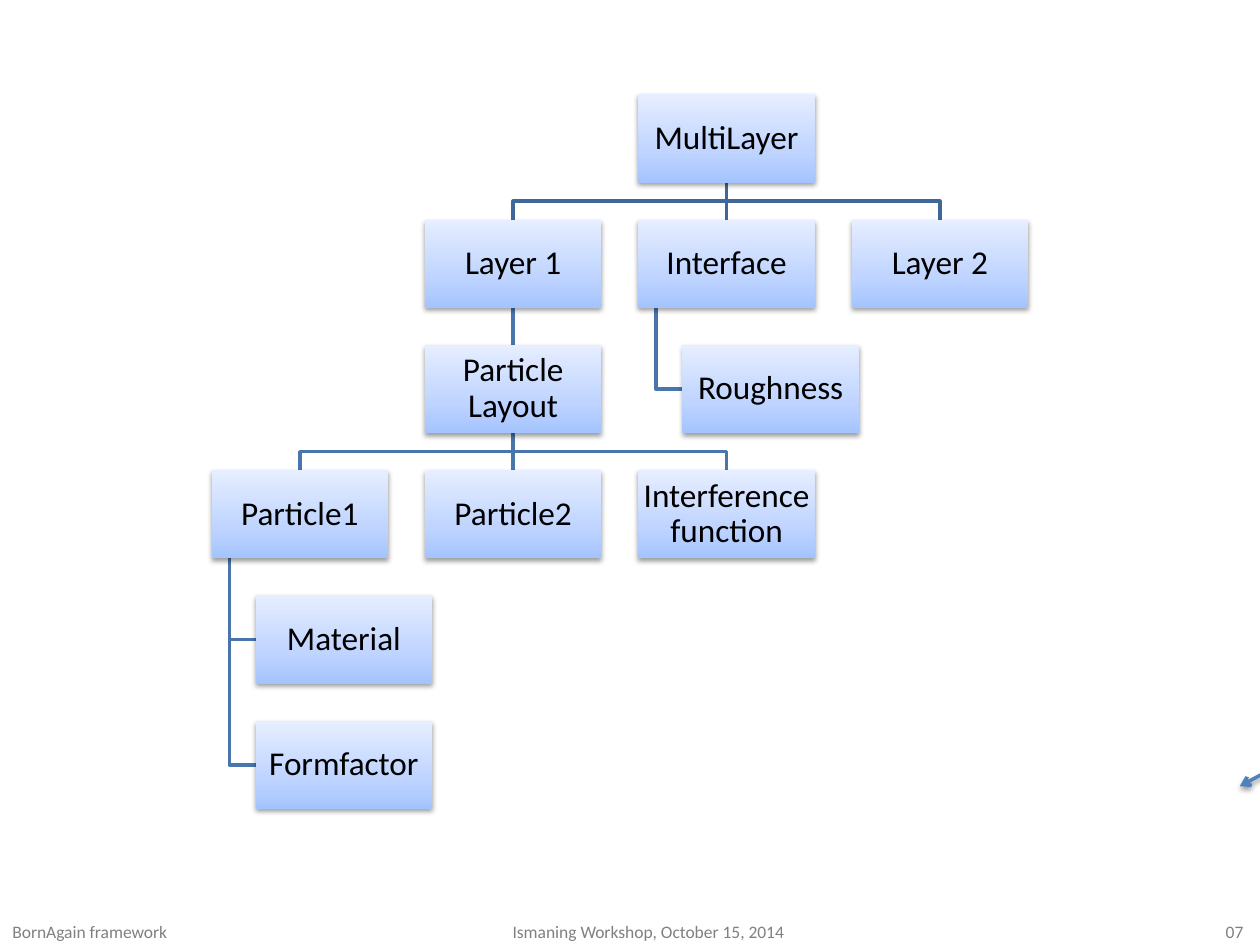
from lxml import etree
from pptx import Presentation
from pptx.dml.color import RGBColor
from pptx.enum import shapes, text
from pptx.oxml import parse_xml
from pptx.oxml.ns import nsdecls, qn
from pptx.util import Inches, Pt

hex_color = RGBColor.from_string


def write(shape, words, size, color, align, anchor, margins, wrap=True, spacing=1.0):
    frame = shape.text_frame
    frame.word_wrap = wrap
    frame.vertical_anchor = anchor
    frame.margin_left = frame.margin_right = Inches(margins[0])
    frame.margin_top = frame.margin_bottom = Inches(margins[1])
    paragraph = frame.paragraphs[0]
    paragraph.alignment = align
    paragraph.line_spacing = spacing
    run = paragraph.add_run()
    run.text = words
    run.font.name = "Calibri"
    run.font.size = Pt(size)
    run.font.color.rgb = hex_color(color)
    return paragraph


def add_path(slide, points, color):
    corners = [(Inches(x), Inches(y)) for x, y in points]
    if len(corners) == 2:
        line = slide.shapes.add_connector(shapes.MSO_CONNECTOR.STRAIGHT, *corners[0], *corners[1])
        etree.SubElement(line._element.spPr, qn("a:effectLst"))
    else:
        builder = slide.shapes.build_freeform(*corners[0])
        builder.add_line_segments(corners[1:], close=False)
        line = builder.convert_to_shape()
        line.fill.background()
        line.shadow.inherit = False
    line.line.color.rgb = hex_color(color)
    line.line.width = Pt(2)
    return line


deck = Presentation()
deck.slide_width, deck.slide_height = Inches(10), Inches(7.5)
slide = deck.slides.add_slide(deck.slide_layouts[6])

box_width, box_height = 1.4, 0.7
first_left, first_top = 1.68, 0.75
column_pitch, row_pitch = 5.08 / 3, 4.97 / 5
indent, stem_inset = 0.35, 0.14

nodes = [
    ("MultiLayer", 2, 0, None, False),
    ("Layer 1", 1, 1, "MultiLayer", False),
    ("Particle Layout", 1, 2, "Layer 1", False),
    ("Particle1", 0, 3, "Particle Layout", False),
    ("Material", 0, 4, "Particle1", True),
    ("Formfactor", 0, 5, "Particle1", True),
    ("Particle2", 1, 3, "Particle Layout", False),
    ("Interference function", 2, 3, "Particle Layout", False),
    ("Interface", 2, 1, "MultiLayer", False),
    ("Roughness", 2, 2, "Interface", True),
    ("Layer 2", 3, 1, "MultiLayer", False),
]
corner = {
    name: (first_left + column * column_pitch + indent * hanging, first_top + row * row_pitch)
    for name, column, row, parent, hanging in nodes
}

for name, column, row, parent, hanging in reversed(nodes):
    if parent is None:
        continue
    left, top = corner[name]
    parent_left, parent_top = corner[parent]
    parent_bottom = parent_top + box_height
    if hanging:
        stem, middle = parent_left + stem_inset, top + box_height / 2
        points = [(stem, parent_bottom), (stem, middle), (left, middle)]
    else:
        start, end = parent_left + box_width / 2, left + box_width / 2
        bend = (parent_bottom + top) / 2
        points = [(start, parent_bottom), (start, bend), (end, bend), (end, top)]
        if left == parent_left:
            points = [points[0], points[-1]]
    add_path(slide, points, "3F6797" if parent == "MultiLayer" else "4875AC")

gradient = "".join(
    f'<a:gs pos="{position}000"><a:srgbClr val="{color}"/></a:gs>'
    for position, color in [(0, "A4C4FF"), (35, "BFD4FF"), (100, "E6EEFF")]
)
shadowed = []
for name, (left, top) in corner.items():
    box = slide.shapes.add_shape(
        shapes.MSO_SHAPE.RECTANGLE, Inches(left), Inches(top), Inches(box_width), Inches(box_height)
    )
    box._element.spPr.append(parse_xml(
        f'<a:gradFill {nsdecls("a")} rotWithShape="1"><a:gsLst>{gradient}</a:gsLst>'
        '<a:lin ang="16200000" scaled="0"/></a:gradFill>'
    ))
    box.line.fill.background()
    box.shadow.inherit = False
    write(box, name, size=19, color="000000", align=text.PP_ALIGN.CENTER,
          anchor=text.MSO_ANCHOR.MIDDLE, margins=(0.01, 0.01), spacing=0.9)
    shadowed.append(box)

arrow = add_path(slide, [(11.15, 5.53), (9.84, 6.24)], "4F81BD")
etree.SubElement(arrow.line._get_or_add_ln(), qn("a:tailEnd"), type="arrow")
shadowed.append(arrow)

for item in shadowed:
    item._element.spPr.find(qn("a:effectLst")).append(parse_xml(
        f'<a:outerShdw {nsdecls("a")} blurRad="{Pt(3.1)}" dist="{Pt(1.6)}" dir="5400000" rotWithShape="0">'
        '<a:srgbClr val="000000"><a:alpha val="38000"/></a:srgbClr></a:outerShdw>'
    ))

footer = slide.shapes.add_textbox(Inches(0), Inches(7.26), Inches(10.06), Inches(0.27))
footer_line = write(
    footer, "BornAgain framework\tIsmaning Workshop, October 15, 2014\t07", size=10, color="808080",
    align=text.PP_ALIGN.LEFT, anchor=text.MSO_ANCHOR.TOP, margins=(0.1, 0.05),
)
tabs = etree.SubElement(footer_line._p.get_or_add_pPr(), qn("a:tabLst"))
for stop in (3.97, 9.63):
    etree.SubElement(tabs, qn("a:tab"), pos=str(Inches(stop)), algn="l")

deck.save("out.pptx")
